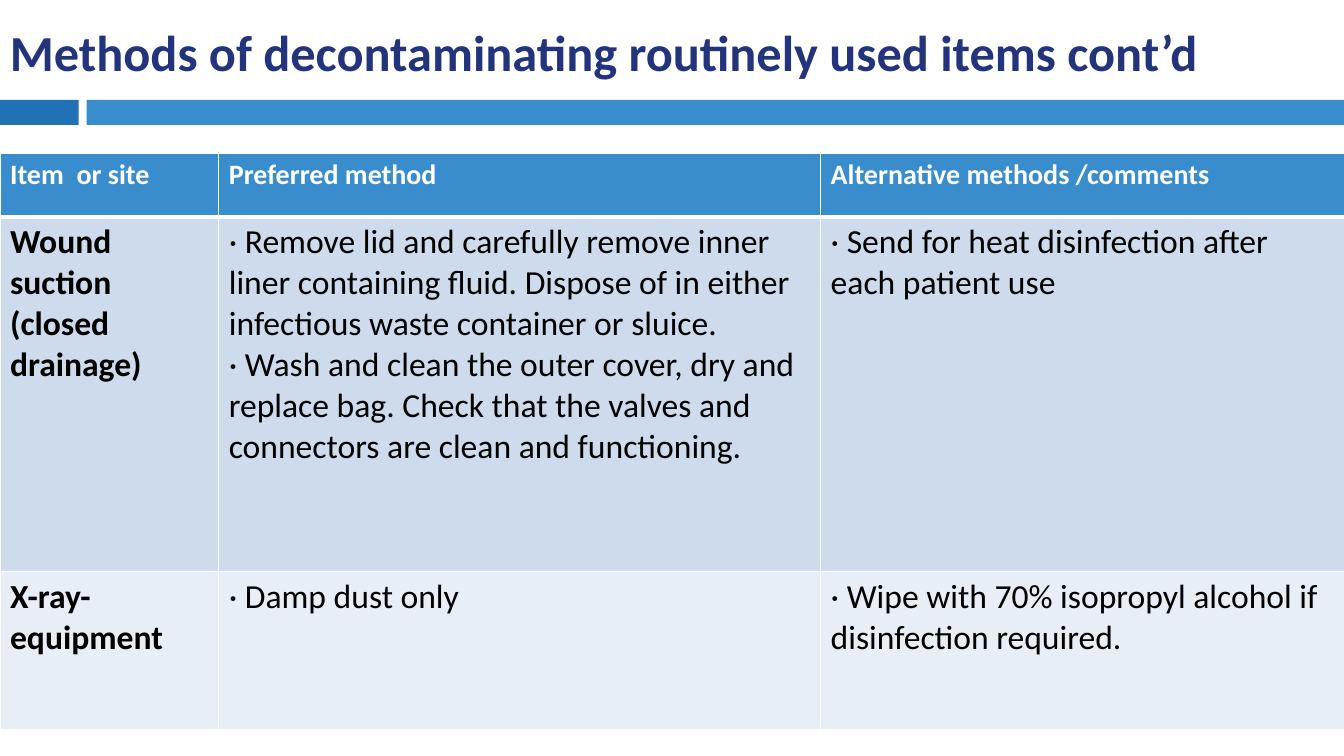
from lxml.etree import SubElement
from pptx import Presentation
from pptx.dml.color import RGBColor
from pptx.enum.shapes import MSO_SHAPE
from pptx.enum.text import MSO_ANCHOR
from pptx.oxml.ns import qn
from pptx.util import Inches, Pt

NAVY = RGBColor(0x23, 0x34, 0x7D)
DARK_BLUE = RGBColor(0x21, 0x72, 0xB5)
BLUE = RGBColor(0x39, 0x8D, 0xCD)
BAND_DARK = RGBColor(0xCE, 0xDB, 0xED)
BAND_LIGHT = RGBColor(0xE8, 0xEE, 0xF6)
WHITE = RGBColor(0xFF, 0xFF, 0xFF)
BLACK = RGBColor(0, 0, 0)


def write(tf, lines, size, color, bold):
    """Write each line as a paragraph in one format."""
    for i, line in enumerate(lines):
        p = tf.paragraphs[0] if i == 0 else tf.add_paragraph()
        r = p.add_run()
        r.text = line
        r.font.color.rgb = color
        for name, value in {"name": "Calibri", "size": Pt(size), "bold": bold}.items():
            setattr(r.font, name, value)


def set_borders(cell, widths):
    """Draw white cell borders, with widths in points by side."""
    tcPr = cell._tc.get_or_add_tcPr()
    for i, (side, width) in enumerate(widths.items()):
        ln = tcPr.makeelement(qn(f"a:ln{side}"), {"w": str(Pt(width))})
        fill = SubElement(ln, qn("a:solidFill"))
        SubElement(fill, qn("a:srgbClr"), val=str(WHITE))
        tcPr.insert(i, ln)


prs = Presentation()
prs.slide_width, prs.slide_height = Inches(13.33), Inches(7.5)
s = prs.slides.add_slide(prs.slide_layouts[6])

# Divider bars
for left, width, color in [(0, 0.78, DARK_BLUE), (0.86, 12.47, BLUE)]:
    sp = s.shapes.add_shape(MSO_SHAPE.RECTANGLE, Inches(left), Inches(0.99),
                            Inches(width), Inches(0.25))
    sp.shadow.inherit = False
    sp.fill.solid()
    sp.fill.fore_color.rgb = color
    sp.line.fill.background()

# Title
title = s.shapes.add_textbox(0, Inches(0.1), Inches(13.33), Inches(0.81))
tf = title.text_frame
for name, value in {"word_wrap": True, "vertical_anchor": MSO_ANCHOR.MIDDLE}.items():
    setattr(tf, name, value)
write(tf, ["Methods of decontaminating routinely used items cont’d"], 36, NAVY, True)

# Decontamination table
col_widths = [2.17, 5.97, 5.2]
row_heights = [0.63, 3.52, 1.57]
row_fills = [BLUE, BAND_DARK, BAND_LIGHT]
rows = [
    [["Item  or site"], ["Preferred method"], ["Alternative methods /comments"]],
    [["Wound suction (closed", "drainage)"],
     ["· Remove lid and carefully remove inner liner containing fluid. "
      "Dispose of in either infectious waste container or sluice.",
      "· Wash and clean the outer cover, dry and replace bag. "
      "Check that the valves and connectors are clean and functioning."],
     ["· Send for heat disinfection after each patient use"]],
    [["X-ray-equipment"],
     ["· Damp dust only"],
     ["· Wipe with 70% isopropyl alcohol if disinfection required."]],
]
table = s.shapes.add_table(len(rows), len(col_widths), 0, Inches(1.52),
                           Inches(13.33), Inches(sum(row_heights))).table
for col, width in zip(table.columns, col_widths):
    col.width = Inches(width)
for i, (row, height, fill) in enumerate(zip(rows, row_heights, row_fills)):
    table.rows[i].height = Inches(height)
    header = i == 0
    for j, lines in enumerate(row):
        cell = table.cell(i, j)
        cell.fill.solid()
        cell.fill.fore_color.rgb = fill
        set_borders(cell, {"L": 1, "R": 1, "T": 3 if i == 1 else 1, "B": 3 if header else 1})
        write(cell.text_frame, lines, 20 if header else 24,
              WHITE if header else BLACK, header or j == 0)

prs.save("out.pptx")
